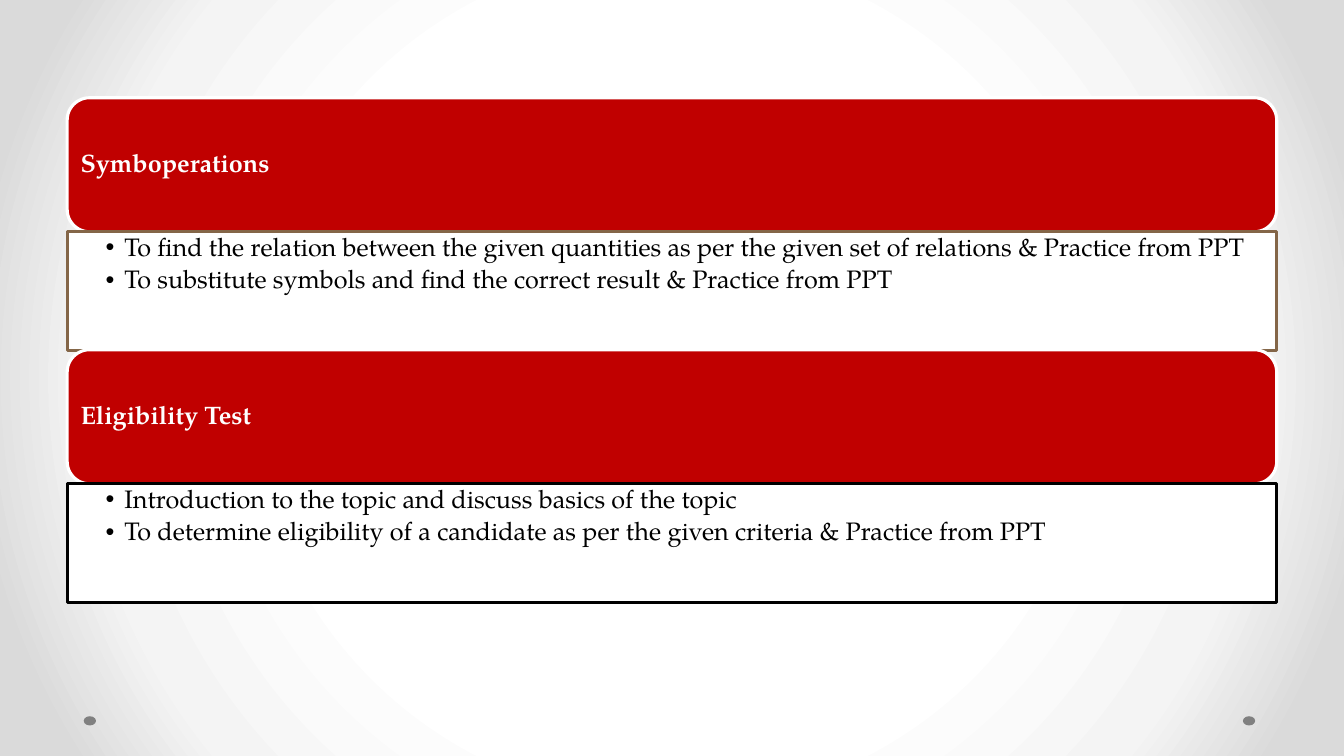
from lxml.etree import SubElement
from pptx import Presentation
from pptx.dml.color import RGBColor
from pptx.enum.shapes import MSO_SHAPE as Preset
from pptx.enum.text import MSO_ANCHOR as Anchor, MSO_AUTO_SIZE as AutoSize, PP_ALIGN as Align
from pptx.oxml.ns import qn
from pptx.util import Pt

FONT = "TeX Gyre Pagella"
LEFT, WIDTH = 48, 864
FIRST_TOP, PITCH = 69.84, 180
BANNER_HEIGHT, LIST_HEIGHT = 95.76, 84.6
BACKGROUND_STOPS = [(50, "FFFFFF"), (76, "F4F4F4"), (92, "DADADA")]
TOPICS = [
    ("Symboperations", "846648", [
        "To find the relation between the given quantities as per the given set of relations & Practice from PPT",
        "To substitute symbols and find the correct result & Practice from PPT",
    ]),
    ("Eligibility Test", "000000", [
        "Introduction to the topic and discuss basics of the topic",
        "To determine eligibility of a candidate as per the given criteria & Practice from PPT",
    ]),
]


def color(hex_value):
    return RGBColor.from_string(hex_value)


def paint(shape, fill, line=None):
    shape.fill.solid()
    shape.fill.fore_color.rgb = color(fill)
    if line:
        shape.line.color.rgb = color(line)
        shape.line.width = Pt(2.25)
    else:
        shape.line.fill.background()


def set_frame(frame, anchor, left, top, right, bottom):
    frame.word_wrap = True
    frame.auto_size = AutoSize.NONE
    frame.vertical_anchor = anchor
    frame.margin_left, frame.margin_top = Pt(left), Pt(top)
    frame.margin_right, frame.margin_bottom = Pt(right), Pt(bottom)


def format_paragraph(paragraph, hex_value, bold, space_after):
    paragraph.alignment = Align.LEFT
    paragraph.line_spacing = 0.9
    paragraph.space_before = Pt(0)
    paragraph.space_after = Pt(space_after)
    paragraph.font.name = FONT
    paragraph.font.size = Pt(18)
    paragraph.font.bold = bold
    paragraph.font.color.rgb = color(hex_value)


def add_bullet(paragraph):
    properties = paragraph._p.get_or_add_pPr()
    properties.set("marL", str(Pt(13.5)))
    properties.set("indent", str(-Pt(13.5)))
    SubElement(properties, qn("a:buFont"), typeface="Arial")
    SubElement(properties, qn("a:buChar"), char="•")


def set_background(slide):
    slide.background.fill.gradient()
    gradient = slide.element.find(".//" + qn("a:gradFill"))
    for child in list(gradient):
        gradient.remove(child)
    stops = SubElement(gradient, qn("a:gsLst"))
    for position, hex_value in BACKGROUND_STOPS:
        stop = SubElement(stops, qn("a:gs"), pos=str(position * 1000))
        SubElement(stop, qn("a:srgbClr"), val=hex_value)
    circle = SubElement(gradient, qn("a:path"), path="circle")
    SubElement(circle, qn("a:fillToRect"), l="50000", t="50000", r="50000", b="50000")


def add_preset(slide, preset, left, top, width, height, fill, line=None):
    shape = slide.shapes.add_shape(preset, Pt(left), Pt(top), Pt(width), Pt(height))
    shape.shadow.inherit = False
    paint(shape, fill, line)
    return shape


def add_banner(slide, top, heading):
    banner = add_preset(slide, Preset.ROUNDED_RECTANGLE, LEFT, top, WIDTH, BANNER_HEIGHT, "C00000", "FFFFFF")
    set_frame(banner.text_frame, Anchor.MIDDLE, 5, 5, 5, 5)
    paragraph = banner.text_frame.paragraphs[0]
    paragraph.text = heading
    format_paragraph(paragraph, "FFFFFF", True, 0)


def fill_list(placeholder, top, border, items):
    placeholder.left, placeholder.top = Pt(LEFT), Pt(top)
    placeholder.width, placeholder.height = Pt(WIDTH), Pt(LIST_HEIGHT)
    paint(placeholder, "FFFFFF", border)
    frame = placeholder.text_frame
    set_frame(frame, Anchor.TOP, 27.4, 2.2, 10, 2.2)
    frame.text = "\n".join(items)
    for paragraph in frame.paragraphs:
        add_bullet(paragraph)
        format_paragraph(paragraph, "000000", False, 3.6)
    placeholder.element.getparent().append(placeholder.element)


def main():
    presentation = Presentation()
    presentation.slide_width, presentation.slide_height = Pt(960), Pt(540)
    slide = presentation.slides.add_slide(presentation.slide_layouts.get_by_name("Two Content"))
    title = slide.shapes.title.element
    title.getparent().remove(title)
    set_background(slide)
    for dot_left in (887.8, 59.8):
        add_preset(slide, Preset.OVAL, dot_left, 511.6, 8.8, 6.6, "808080")
    lists = list(slide.placeholders)
    for index, (heading, border, items) in enumerate(TOPICS):
        top = FIRST_TOP + index * PITCH
        add_banner(slide, top, heading)
        fill_list(lists[index], top + BANNER_HEIGHT, border, items)
    presentation.save("out.pptx")


if __name__ == "__main__":
    main()
